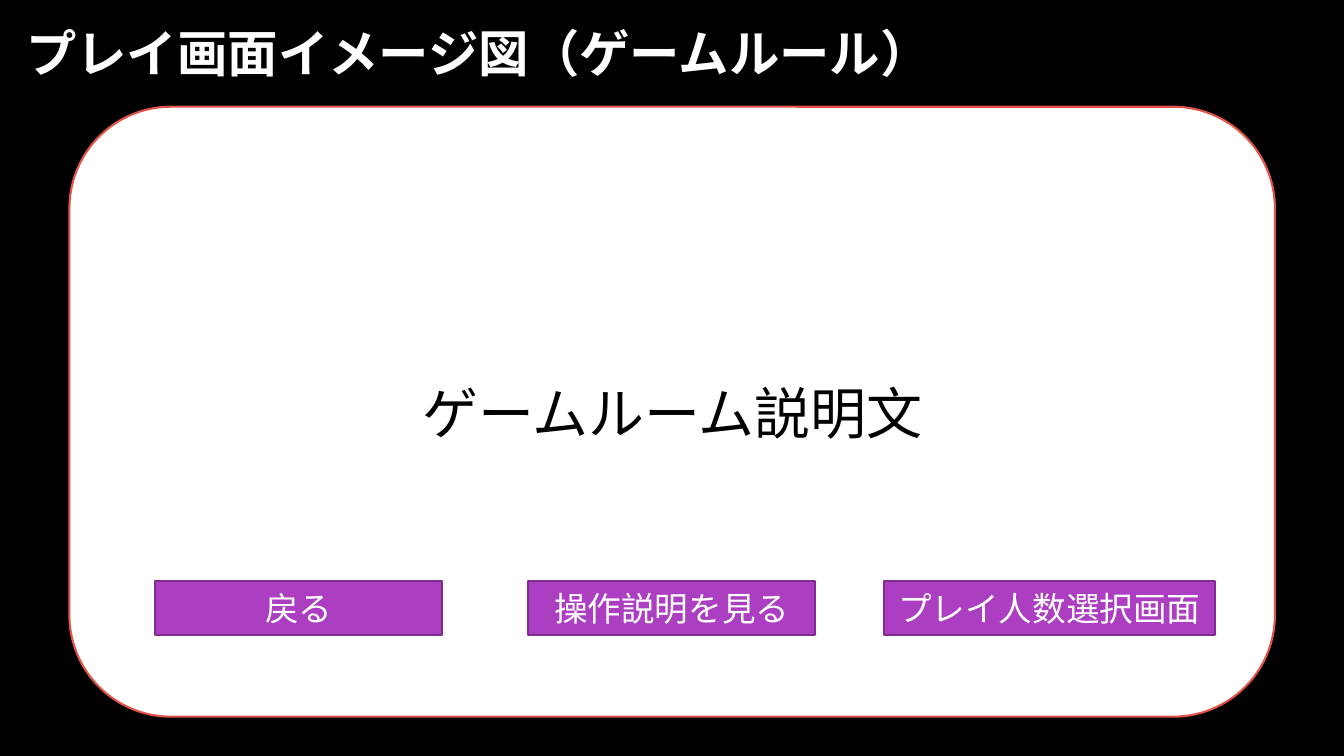
import dataclasses
import typing

import lxml.etree
import pptx
import pptx.dml.color
import pptx.enum.shapes
import pptx.enum.text
import pptx.oxml.ns
import pptx.shapes.autoshape
import pptx.slide
import pptx.util

Cm = pptx.util.Cm
Pt = pptx.util.Pt
Kind = pptx.enum.shapes.MSO_SHAPE
Align = pptx.enum.text.PP_ALIGN
Anchor = pptx.enum.text.MSO_ANCHOR


@dataclasses.dataclass(frozen=True)
class Theme:
    face: str = "Noto Sans CJK JP"
    black: str = "000000"
    white: str = "FFFFFF"
    red: str = "E25247"
    purple: str = "AC3EC1"
    plum: str = "7F2E8F"
    title: int = 36
    body: int = 40
    button: int = 24
    line: float = 1.5


@dataclasses.dataclass(frozen=True)
class Box:
    kind: Kind
    left: float
    top: float
    width: float
    height: float
    text: str
    size: int
    ink: str
    fill: str
    edge: str


@dataclasses.dataclass(frozen=True)
class Button:
    left: float
    width: float
    text: str


THEME = Theme()
ROW_TOP, ROW_HEIGHT = 14.63, 1.37
BUTTONS = (
    Button(3.91, 7.24, "戻る"),
    Button(13.31, 7.24, "操作説明を見る"),
    Button(22.28, 8.33, "プレイ人数選択画面"),
)


def color(code: str) -> pptx.dml.color.RGBColor:
    return pptx.dml.color.RGBColor.from_string(code)


def apply(target: typing.Any, values: dict[str, typing.Any]) -> None:
    for name, value in values.items():
        setattr(target, name, value)


def write(shape: pptx.shapes.autoshape.Shape, text: str, size: int, ink: str,
          align: Align, bold: bool = False) -> None:
    frame = shape.text_frame
    apply(frame, {"word_wrap": True, "vertical_anchor": Anchor.MIDDLE})
    para = frame.paragraphs[0]
    para.alignment = align
    run = para.add_run()
    run.text = text
    apply(run.font, {"size": Pt(size), "bold": bold, "name": THEME.face})
    run.font.color.rgb = color(ink)
    # Japanese glyphs take the East Asian typeface
    latin = run.font._element.find(pptx.oxml.ns.qn("a:latin"))
    asian = lxml.etree.Element(pptx.oxml.ns.qn("a:ea"), typeface=THEME.face)
    latin.addnext(asian)


def draw(slide: pptx.slide.Slide, box: Box) -> None:
    shape = slide.shapes.add_shape(
        box.kind, Cm(box.left), Cm(box.top), Cm(box.width), Cm(box.height))
    shape.shadow.inherit = False
    shape.fill.solid()
    shape.fill.fore_color.rgb = color(box.fill)
    shape.line.color.rgb = color(box.edge)
    shape.line.width = Pt(THEME.line)
    write(shape, box.text, box.size, box.ink, Align.CENTER)


def main() -> None:
    deck = pptx.Presentation()
    apply(deck, {"slide_width": Cm(33.87), "slide_height": Cm(19.05)})
    slide = deck.slides.add_slide(deck.slide_layouts[6])
    slide.background.fill.solid()
    slide.background.fill.fore_color.rgb = color(THEME.black)

    # Title
    title = slide.shapes.add_textbox(Cm(0.41), Cm(0.38), Cm(24.36), Cm(1.9))
    write(title, "プレイ画面イメージ図（ゲームルール）", THEME.title,
          THEME.white, Align.LEFT, bold=True)

    # Game screen
    draw(slide, Box(Kind.ROUNDED_RECTANGLE, 1.75, 2.69, 30.38, 15.37,
                    "ゲームルーム説明文", THEME.body, THEME.black,
                    THEME.white, THEME.red))

    # Button row
    for item in BUTTONS:
        draw(slide, Box(Kind.RECTANGLE, item.left, ROW_TOP, item.width,
                        ROW_HEIGHT, item.text, THEME.button, THEME.white,
                        THEME.purple, THEME.plum))

    deck.save("out.pptx")


if __name__ == "__main__":
    main()
